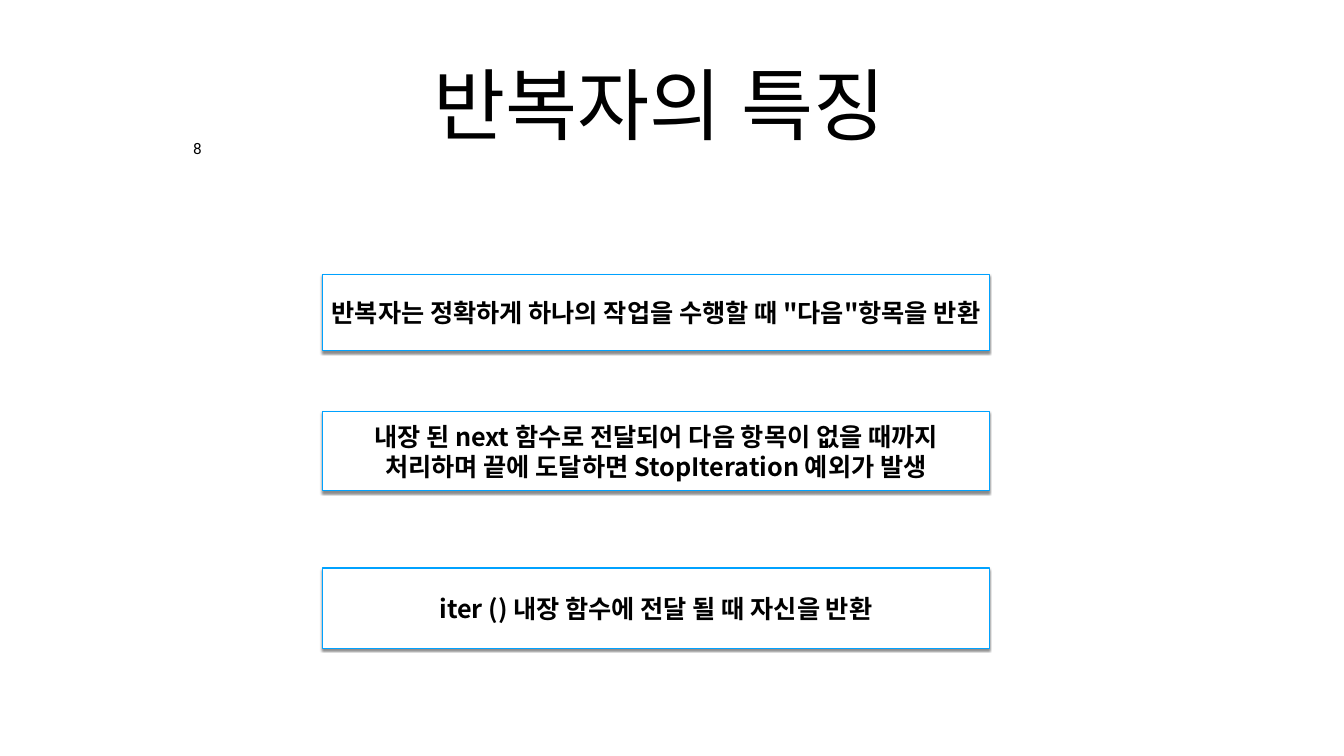
from lxml import etree
from pptx import Presentation
from pptx.dml.color import RGBColor
from pptx.enum.shapes import MSO_SHAPE
from pptx.enum.text import MSO_ANCHOR, MSO_AUTO_SIZE, PP_ALIGN
from pptx.oxml.ns import qn
from pptx.util import Pt

RECTANGLE = MSO_SHAPE.RECTANGLE
MIDDLE, TOP = MSO_ANCHOR.MIDDLE, MSO_ANCHOR.TOP
CENTER = PP_ALIGN.CENTER
NO_AUTOFIT, GROW = MSO_AUTO_SIZE.NONE, MSO_AUTO_SIZE.SHAPE_TO_FIT_TEXT

BLACK = RGBColor(0x00, 0x00, 0x00)
WHITE = RGBColor(0xFF, 0xFF, 0xFF)
BLUE = RGBColor(0x00, 0xA2, 0xFF)

HEADING_FONT = "Roboto"
BODY_FONT = "Noto Sans CJK KR"
TITLE_ONLY = 5

CARD_LEFT, CARD_WIDTH = 460.8, 952.56
# Top, height and text of each card
CARDS = [
    (392.4, 108.72, '반복자는 정확하게 하나의 작업을 수행할 때 "다음"항목을 반환'),
    (588.24, 113.04, "내장 된 next 함수로 전달되어 다음 항목이 없을 때까지 "
                     "처리하며 끝에 도달하면 StopIteration 예외가 발생"),
    (811.44, 114.48, "iter () 내장 함수에 전달 될 때 자신을 반환"),
]


def place(shape, box):
    shape.left, shape.top, shape.width, shape.height = map(Pt, box)


def write(shape, text, size, font_name, inset, anchor=MIDDLE, bold=False):
    """Set one centred paragraph with equal insets."""
    frame = shape.text_frame
    frame.text = text
    frame.word_wrap = True
    frame.auto_size = NO_AUTOFIT
    frame.vertical_anchor = anchor
    frame.margin_left = frame.margin_right = Pt(inset)
    frame.margin_top = frame.margin_bottom = Pt(inset)
    paragraph = frame.paragraphs[0]
    paragraph.alignment = CENTER
    font = paragraph.runs[0].font
    font.name, font.size, font.bold = font_name, Pt(size), bold
    font.color.rgb = BLACK
    east_asian = etree.SubElement(paragraph.runs[0]._r.rPr, qn("a:ea"))
    east_asian.set("typeface", font_name)


def add_drop_shadow(shape):
    shape.shadow.inherit = False
    effects = shape._element.spPr.find(qn("a:effectLst"))
    shadow = etree.SubElement(
        effects, qn("a:outerShdw"), blurRad=str(Pt(3)), dist=str(Pt(2.4)),
        dir="5400000", rotWithShape="0")
    color = etree.SubElement(shadow, qn("a:srgbClr"), val=str(BLACK))
    etree.SubElement(color, qn("a:alpha"), val="45000")


def set_title(slide, box, text):
    title = slide.shapes.title
    place(title, box)
    write(title, text, 112, HEADING_FONT, 6)
    title.text_frame.margin_right = Pt(42)


def add_page_number(slide, box, number):
    text_box = slide.shapes.add_textbox(*map(Pt, box))
    write(text_box, number, 22, HEADING_FONT, 6, anchor=TOP)
    text_box.text_frame.word_wrap = False
    text_box.text_frame.auto_size = GROW
    text_box.text_frame.paragraphs[0].line_spacing = 0.8


def add_card(slide, box, text):
    card = slide.shapes.add_shape(RECTANGLE, *map(Pt, box))
    card.fill.solid()
    card.fill.fore_color.rgb = WHITE
    card.line.color.rgb = BLUE
    card.line.width = Pt(1.5)
    add_drop_shadow(card)
    write(card, text, 36, BODY_FONT, 7.2, bold=True)


def main():
    presentation = Presentation()
    presentation.slide_width, presentation.slide_height = Pt(1920), Pt(1080)
    slide = presentation.slides.add_slide(presentation.slide_layouts[TITLE_ONLY])
    set_title(slide, (345.6, 28.08, 1229.04, 239.04), "반복자의 특징")
    add_page_number(slide, (270, 198, 24, 32.4), "8")
    for top, height, text in CARDS:
        add_card(slide, (CARD_LEFT, top, CARD_WIDTH, height), text)
    presentation.save("out.pptx")


if __name__ == "__main__":
    main()
